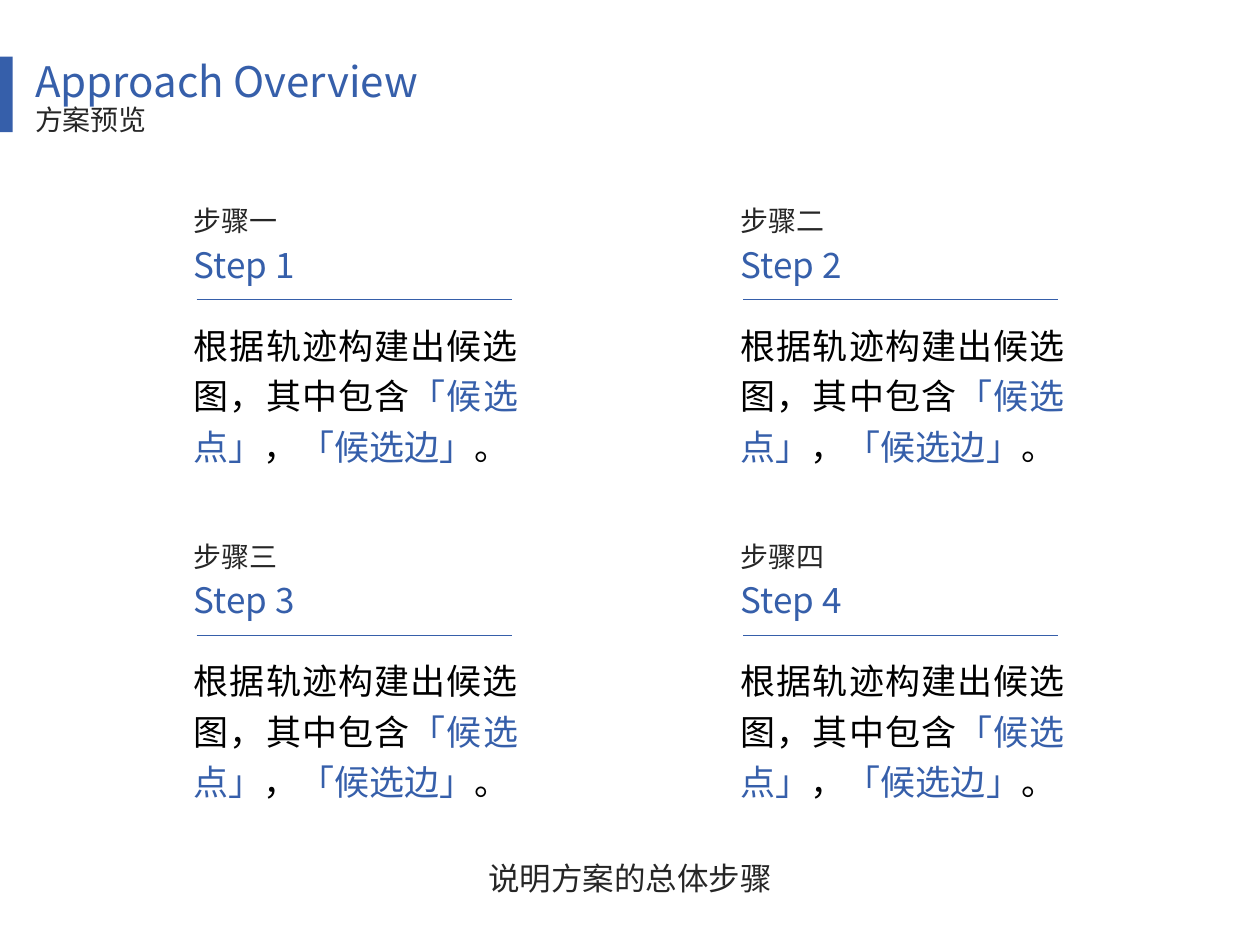
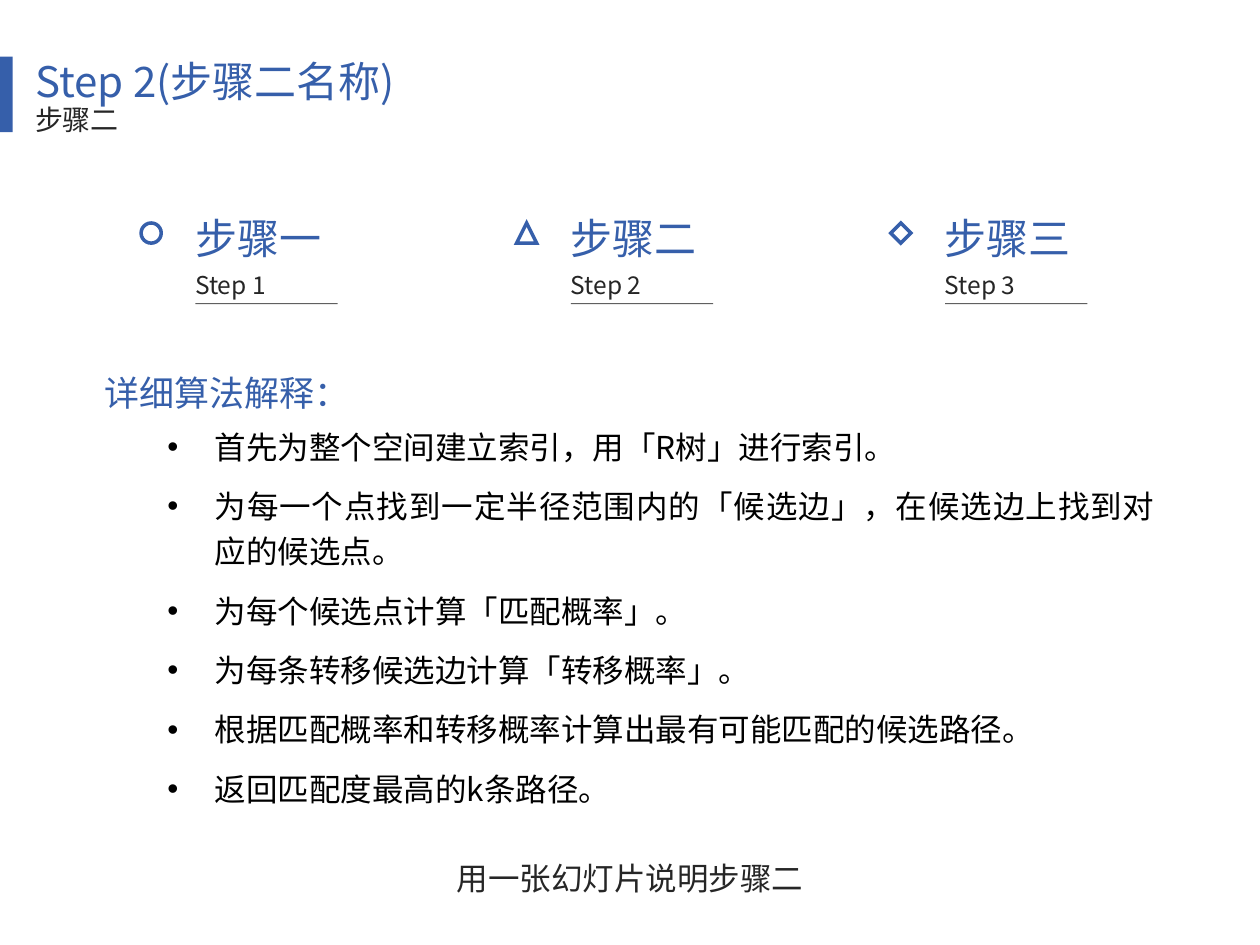
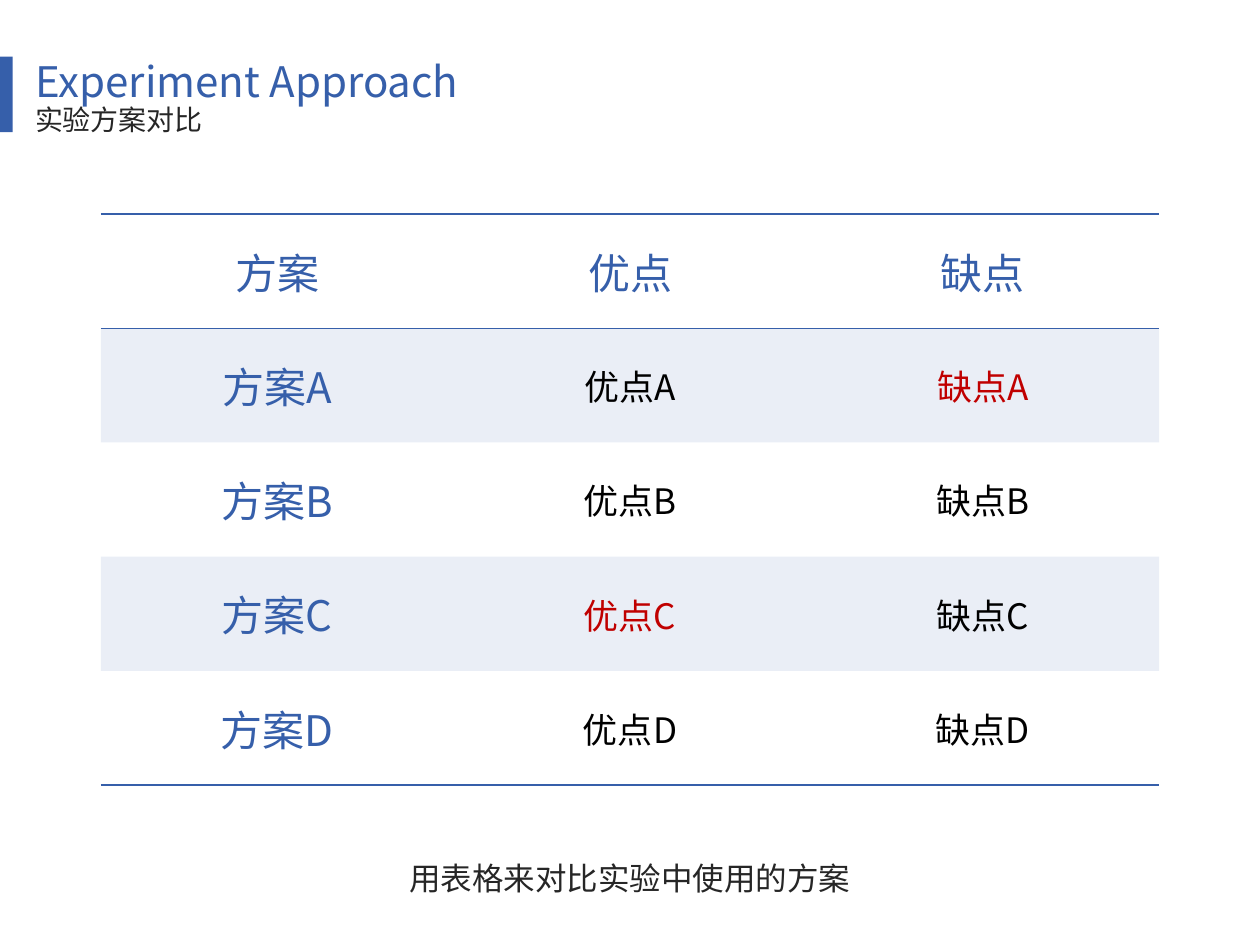
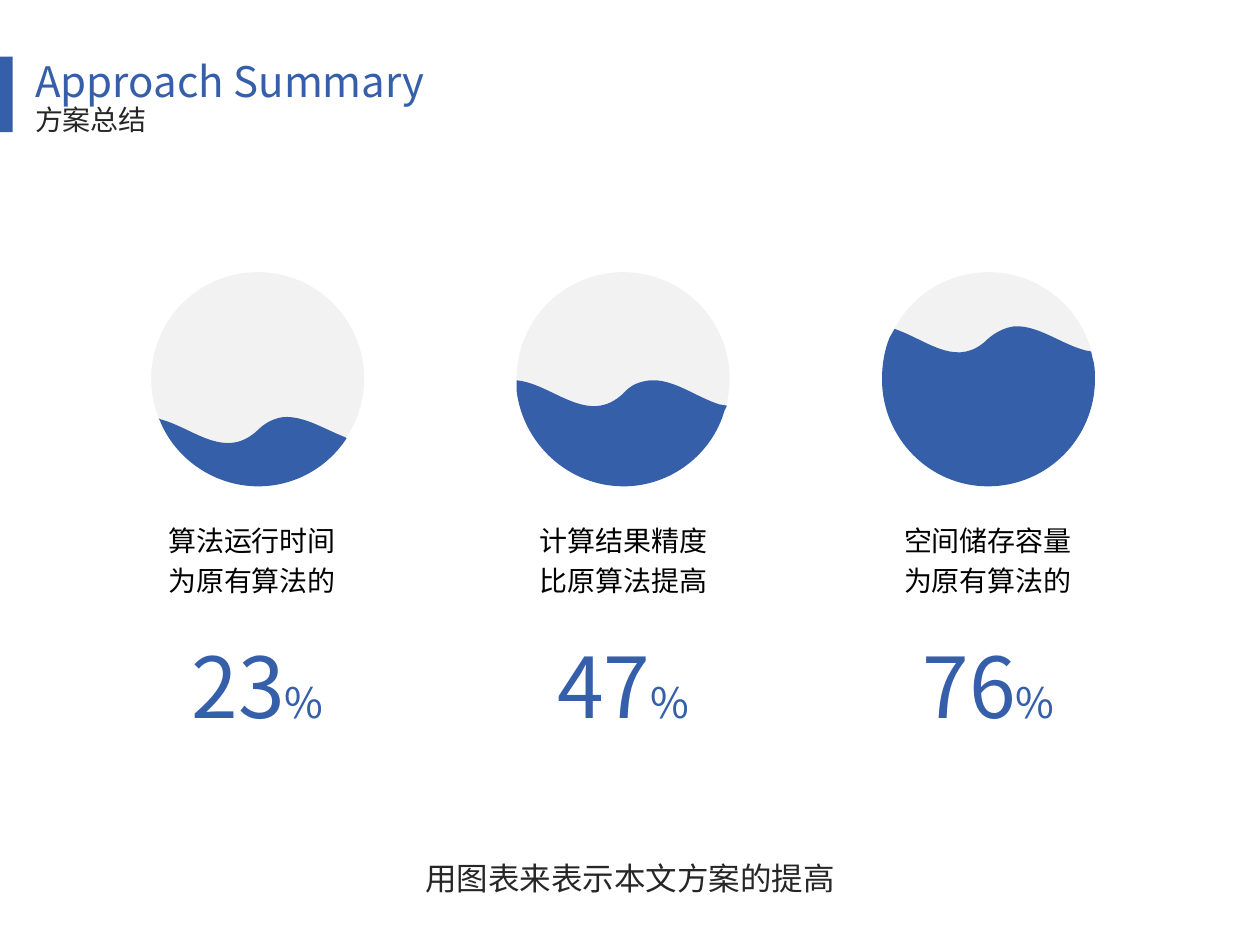
from lxml.etree import SubElement
from pptx import Presentation
from pptx.dml.color import RGBColor
from pptx.enum.shapes import MSO_CONNECTOR as CONN, MSO_SHAPE as SHAPE
from pptx.enum.text import MSO_ANCHOR as ANCHOR, MSO_AUTO_SIZE as AUTO, PP_ALIGN as ALIGN
from pptx.oxml.ns import qn
from pptx.util import Inches, Pt

FONT = "Noto Sans CJK SC"
BLUE, INK, BLACK, RED, PALE = "365FAA", "262626", "000000", "C00000", "F2F2F2"
NO_STYLE = "{2D5ABB26-0587-4C30-8999-92F81FD0307C}"
BAND = (0, 0.45, 0.1, 0.6)
LIQUID_23 = [
    (2.25, 3.31), (2.42, 3.3, 2.58, 3.41, 2.74, 3.47), (2.75, 3.48),
    (2.6, 3.71, 2.34, 3.86, 2.05, 3.86), (1.7, 3.86, 1.39, 3.64, 1.27, 3.34),
    (1.26, 3.32), (1.28, 3.33), (1.54, 3.4, 1.79, 3.66, 2.05, 3.41),
    (2.11, 3.35, 2.18, 3.32, 2.25, 3.31),
]
LIQUID_47 = [
    (5.15, 3.02), (5.34, 3, 5.52, 3.15, 5.71, 3.21), (5.77, 3.22), (5.75, 3.26),
    (5.65, 3.61, 5.32, 3.86, 4.95, 3.86), (4.51, 3.86, 4.15, 3.52, 4.1, 3.1),
    (4.1, 3.02), (4.11, 3.02), (4.39, 3.05, 4.67, 3.39, 4.95, 3.12),
    (5.01, 3.05, 5.08, 3.03, 5.15, 3.02),
]
LIQUID_76 = [
    (8.05, 2.59), (8.24, 2.58, 8.42, 2.73, 8.61, 2.78), (8.66, 2.79), (8.67, 2.84),
    (8.69, 2.9, 8.69, 2.95, 8.69, 3.01), (8.69, 3.48, 8.31, 3.86, 7.84, 3.86),
    (7.38, 3.86, 7, 3.48, 7, 3.01), (7, 2.89, 7.02, 2.78, 7.06, 2.68),
    (7.1, 2.61), (7.15, 2.63), (7.38, 2.72, 7.61, 2.92, 7.84, 2.69),
    (7.91, 2.63, 7.98, 2.6, 8.05, 2.59),
]


def rgb(value):
    """Turn a hex string into a colour."""
    return RGBColor.from_string(value)


def inches(*values):
    """Convert several lengths to inches."""
    return [Inches(v) for v in values]


def set_attrs(obj, values):
    """Set attributes from a dict of format values."""
    for key, value in values.items():
        setattr(obj, key, value)


def add_run(p, text, size, color):
    """Add one formatted run to a paragraph."""
    r = p.add_run()
    r.text = text
    set_attrs(r.font, {"size": Pt(size), "name": FONT})
    r.font.color.rgb = rgb(color)
    SubElement(r.font._element, qn("a:ea"), typeface=FONT)


def fill_frame(tf, runs, **fmt):
    """Write runs into the first paragraph of a text frame."""
    p = tf.paragraphs[0]
    set_attrs(p, fmt)
    for run in runs:
        add_run(p, *run)


def add_text(shapes, box, runs, wrap=True, **fmt):
    """Add a text box holding one paragraph of runs."""
    tf = shapes.add_textbox(*inches(*box)).text_frame
    set_attrs(tf, {"word_wrap": wrap, "auto_size": AUTO.SHAPE_TO_FIT_TEXT})
    fill_frame(tf, runs, **fmt)
    return tf


def set_alpha(fill_parent, percent):
    """Make the solid fill below an element partly transparent."""
    clr = next(fill_parent.iter(qn("a:srgbClr")))
    SubElement(clr, qn("a:alpha"), val=str(percent * 1000))


def add_rule(shapes, x, y, width, color, alpha=100):
    """Add a thin horizontal line."""
    line = shapes.add_connector(CONN.STRAIGHT, *inches(x, y, x + width, y))
    line.line.width = Pt(0.5)
    line.line.color.rgb = rgb(color)
    if alpha < 100:
        set_alpha(line.line._ln, alpha)
    SubElement(line._element.spPr, qn("a:effectLst"))


def paint(shape, fill=None, line=None):
    """Set the fill and outline of a shape and drop its shadow."""
    shape.shadow.inherit = False
    if fill:
        shape.fill.solid()
        shape.fill.fore_color.rgb = rgb(fill)
    else:
        shape.fill.background()
    if line:
        shape.line.width = Pt(2)
        shape.line.color.rgb = rgb(line)
        SubElement(shape.line._ln, qn("a:miter"), lim="800000")
    else:
        shape.line.fill.background()


def add_band(s):
    """Draw the side band and hand it to the slide layout."""
    band = s.shapes.add_shape(SHAPE.RECTANGLE, *inches(*BAND))
    paint(band, BLUE)
    s.slide_layout.shapes.element.append(band._element)


def add_slide(prs, title, subtitle, caption):
    """Add a slide with its title, subtitle and bottom caption."""
    s = prs.slides.add_slide(prs.slide_layouts[5])
    left, top, width, height = inches(0.18, 0.43, 5.38, 0.46)
    set_attrs(s.shapes.title, {"left": left, "top": top, "width": width, "height": height})
    tf = s.shapes.title.text_frame
    frame = {"word_wrap": True, "auto_size": AUTO.NONE, "vertical_anchor": ANCHOR.BOTTOM,
             "margin_top": 0}
    set_attrs(tf, frame)
    fill_frame(tf, [(title, 24, BLUE)], alignment=ALIGN.LEFT, line_spacing=0.8)
    tf = add_text(s.shapes, (0.18, 0.78, 5.38, 0.35), [(subtitle, 16, INK)], line_spacing=0.9)
    set_attrs(tf, frame)
    width = 0.25 * len(caption) + 0.23
    add_text(s.shapes, (5 - width / 2, 6.77, width, 0.4), [(caption, 18, INK)],
             wrap=False, alignment=ALIGN.CENTER)
    return s


def add_step_card(s, x, y, number, name):
    """Add one overview step: name, label, line and description."""
    g = s.shapes.add_group_shape().shapes
    add_text(g, (x, y + 0.31, 1.04, 0.44), [(f"Step {number}", 20, BLUE)], wrap=False)
    add_text(g, (x, y, 0.88, 0.37), [(name, 16, INK)], wrap=False)
    add_rule(g, x + 0.12, y + 0.81, 2.5, BLUE)
    parts = [("根据轨迹构建出候选图，其中包含", BLACK), ("「候选点」", BLUE),
             ("，", BLACK), ("「候选边」", BLUE), ("。", BLACK)]
    add_text(g, (x, y + 0.89, 2.77, 1.31), [(t, 20, c) for t, c in parts],
             alignment=ALIGN.JUSTIFY, line_spacing=1.2)


def add_step_mark(s, x, number, name, kind):
    """Add one step heading with its outline marker."""
    g = s.shapes.add_group_shape().shapes
    paint(g.add_shape(kind, *inches(x, 1.77, 0.16, 0.16)), line=BLUE)
    add_text(g, (x + 0.33, 1.56, 1.48, 0.55), [(name, 24, BLUE)], line_spacing=1.2)
    add_text(g, (x + 0.33, 2.05, 1.48, 0.36), [(f"Step {number}", 14, INK)], line_spacing=1.2)
    add_rule(g, x + 0.43, 2.41, 1.13, INK, 72)


def add_bullets(s, box, heading, items):
    """Add a heading followed by bulleted paragraphs."""
    tf = add_text(s.shapes, box, [(heading, 20, BLUE)], line_spacing=1.2)
    for item in items:
        p = tf.add_paragraph()
        set_attrs(p, {"level": 1, "alignment": ALIGN.JUSTIFY, "line_spacing": 1.2,
                      "space_before": Pt(4), "space_after": Pt(4)})
        pPr = p._p.get_or_add_pPr()
        pPr.set("marL", str(Pt(63)))
        pPr.set("indent", str(Pt(-27)))
        SubElement(pPr, qn("a:buFont"), typeface="Arial")
        SubElement(pPr, qn("a:buChar"), char="•")
        add_run(p, item, 18, BLACK)


def add_border(cell, side):
    """Draw one blue edge of a table cell."""
    ln = SubElement(cell._tc.get_or_add_tcPr(), qn(f"a:{side}"), w=str(Pt(1)))
    SubElement(SubElement(ln, qn("a:solidFill")), qn("a:srgbClr"), val=BLUE)


def add_comparison(s, box, rows, marked):
    """Add the comparison table with tinted odd rows and marked cells in red."""
    table = s.shapes.add_table(len(rows), len(rows[0]), *inches(*box)).table
    set_attrs(table, {"first_row": False, "horz_banding": False})
    table._tbl.tblPr.find(qn("a:tableStyleId")).text = NO_STYLE
    for i, row in enumerate(rows):
        for j, text in enumerate(row):
            cell = table.cell(i, j)
            cell.vertical_anchor = ANCHOR.MIDDLE
            head = i == 0 or j == 0
            color = BLUE if head else RED if text in marked else BLACK
            fill_frame(cell.text_frame, [(text, 24 if head else 20, color)],
                       alignment=ALIGN.CENTER)
            if i == 0:
                add_border(cell, "lnT")
            if i in (0, len(rows) - 1):
                add_border(cell, "lnB")
            if i % 2:
                cell.fill.solid()
                cell.fill.fore_color.rgb = rgb(BLUE)
                set_alpha(cell._tc.tcPr.find(qn("a:solidFill")), 10)
            else:
                cell.fill.background()


def add_curved_shape(shapes, outline):
    """Add a closed freeform whose six-value steps are cubic curves."""
    start, *steps = [inches(*step) for step in outline]
    builder = shapes.build_freeform(*start)
    builder.add_line_segments([step[-2:] for step in steps], close=True)
    shape = builder.convert_to_shape()
    lines = list(shape._element.iter(qn("a:lnTo")))
    for line, step in zip(lines, steps):
        if len(step) == 6:
            line.tag = qn("a:cubicBezTo")
            for n, (x, y) in enumerate((step[:2], step[2:4])):
                pt = SubElement(line, qn("a:pt"), x=str(x - shape.left), y=str(y - shape.top))
                line.insert(n, pt)
    return shape


def add_gauge(s, x, outline, label, label_x, percent):
    """Add a liquid gauge with its label and percentage."""
    g = s.shapes.add_group_shape().shapes
    paint(g.add_shape(SHAPE.OVAL, *inches(x, 2.16, 1.69, 1.69)), PALE)
    paint(add_curved_shape(g, outline), BLUE)
    fmt = {"alignment": ALIGN.CENTER, "line_spacing": 1.2}
    add_text(s.shapes, (label_x - 0.81, 4.05, 1.62, 0.75), [(label, 16, BLACK)], **fmt)
    add_text(s.shapes, (x - 0.11, 4.83, 1.91, 0.99),
             [(percent, 48, BLUE), ("%", 24, BLUE)], **fmt)


def main():
    """Build the four slides and save them."""
    prs = Presentation()
    prs.slide_width, prs.slide_height = inches(10, 7.5)
    steps = ["步骤一", "步骤二", "步骤三", "步骤四"]

    s = add_slide(prs, "Approach Overview", "方案预览", "说明方案的总体步骤")
    add_band(s)
    for i, name in enumerate(steps):
        add_step_card(s, 1.44 + 4.34 * (i % 2), 1.57 + 2.66 * (i // 2), i + 1, name)

    s = add_slide(prs, "Step 2(步骤二名称)", "步骤二", "用一张幻灯片说明步骤二")
    marks = [(1.12, SHAPE.OVAL), (4.1, SHAPE.ISOSCELES_TRIANGLE), (7.07, SHAPE.DIAMOND)]
    for i, (x, kind) in enumerate(marks):
        add_step_mark(s, x, i + 1, steps[i], kind)
    add_bullets(s, (0.73, 2.83, 8.54, 3.75), "详细算法解释：", [
        "首先为整个空间建立索引，用「R树」进行索引。",
        "为每一个点找到一定半径范围内的「候选边」，在候选边上找到对应的候选点。",
        "为每个候选点计算「匹配概率」。",
        "为每条转移候选边计算「转移概率」。",
        "根据匹配概率和转移概率计算出最有可能匹配的候选路径。",
        "返回匹配度最高的k条路径。",
    ])

    s = add_slide(prs, "Experiment Approach", "实验方案对比", "用表格来对比实验中使用的方案")
    heads = ["方案", "优点", "缺点"]
    rows = [[head + letter for head in heads] for letter in ("", *"ABCD")]
    add_comparison(s, (0.8, 1.7, 8.4, 4.53), rows, {"缺点A", "优点C"})

    s = add_slide(prs, "Approach Summary", "方案总结", "用图表来表示本文方案的提高")
    gauges = [
        (LIQUID_23, "算法运行时间为原有算法的", 2, "23"),
        (LIQUID_47, "计算结果精度比原算法提高", 4.95, "47"),
        (LIQUID_76, "空间储存容量为原有算法的", 7.84, "76"),
    ]
    for i, gauge in enumerate(gauges):
        add_gauge(s, 1.2 + 2.9 * i, *gauge)

    prs.save("out.pptx")


if __name__ == "__main__":
    main()
